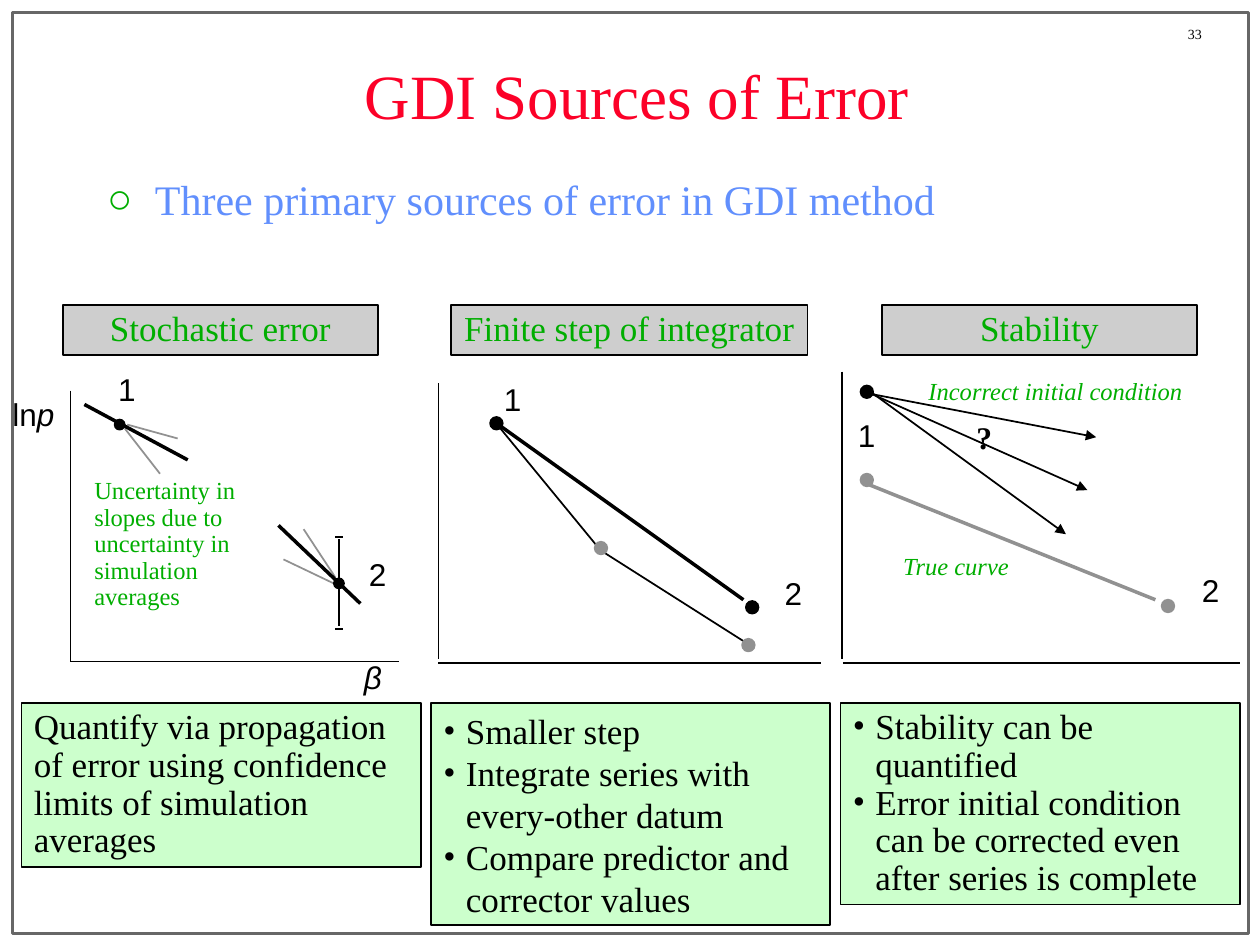
from typing import NamedTuple, Optional

from lxml.etree import SubElement
from pptx import Presentation
from pptx.dml.color import RGBColor
from pptx.enum.shapes import MSO_CONNECTOR, MSO_SHAPE
from pptx.enum.text import MSO_ANCHOR, MSO_AUTO_SIZE, PP_ALIGN
from pptx.oxml.ns import qn
from pptx.util import Inches, Pt

COLORS = {
    "black": "000000", "gray": "919191", "frame": "676767", "heading": "CECECE",
    "remedy": "CCFFCC", "white": "FFFFFF", "title": "FC0128", "body": "618FFD",
    "green": "00AE00",
}
SERIF, SANS = "Times New Roman", "Arial"
COLUMNS, ROWS = 100, 75  # square grid over the slide
WIDTH, HEIGHT = Inches(10), Inches(7.5)


class Box(NamedTuple):
    left: float
    top: float
    width: float
    height: float


class Line(NamedTuple):
    start: tuple[float, float]
    end: tuple[float, float]
    color: str = "black"
    weight: float = 1
    arrow: bool = False


class Dot(NamedTuple):
    left: float
    top: float
    size: float = 1
    color: str = "black"


class Label(NamedTuple):
    text: str
    box: Box
    size: float = 18
    font: str = SANS
    color: str = "black"
    bold: bool = False
    italic: bool = False
    wrap: bool = False


class Panel(NamedTuple):
    heading: str
    heading_box: Box
    remedy: list[str]
    remedy_box: Box
    bullet: Optional[str]
    spacing: float
    lines: list[Line]
    dots: list[Dot]
    labels: list[Label]


def note(text: str, box: Box, italic: bool = True, wrap: bool = False) -> Label:
    return Label(text, box, 14, SERIF, "green", italic=italic, wrap=wrap)


def number(text: str, left: float, top: float) -> Label:
    return Label(text, Box(left, top, 3.4, 3.7))


PANELS = [
    Panel(
        "Stochastic error", Box(5, 24.2, 25, 4),
        ["Quantify via propagation of error using confidence limits of simulation averages"],
        Box(1.7, 55.8, 31.7, 13), None, 0.9,
        [
            Line((5.6, 31), (5.6, 52.5)), Line((5.6, 52.5), (31.7, 52.5)),
            # Slopes at both states, with their uncertainty
            Line((9.9, 34), (12.7, 37.6), "gray"), Line((10.1, 33.7), (14.1, 34.8), "gray"),
            Line((6.7, 32.1), (14.9, 36.5), weight=2),
            Line((22.5, 44.4), (26.9, 46.5), "gray"), Line((24.1, 42), (26.6, 45.8), "gray"),
            Line((22.1, 41.7), (28.6, 47.9), weight=2),
            # Error bar
            Line((26.9, 42.8), (26.9, 49.7)),
            Line((27.2, 42.6), (26.6, 42.6)), Line((27.2, 49.9), (26.6, 49.9)),
        ],
        [Dot(26.5, 45.9, 0.8), Dot(9.1, 33.3, 0.8)],
        [
            number("1", 8.4, 29.2), number("2", 28.3, 43.9),
            Label("β", Box(27.9, 52.1, 3.4, 3.7), italic=True),
            note("Uncertainty in slopes due to uncertainty in simulation averages",
                 Box(6.5, 37.5, 15.8, 11.5), italic=False, wrap=True),
        ],
    ),
    Panel(
        "Finite step of integrator", Box(35.8, 24.2, 28.3, 4),
        ["Smaller step", "Integrate series with every-other datum",
         "Compare predictor and corrector values"],
        Box(34.2, 55.8, 31.7, 17.6), "•", 1,
        [
            Line((34.8, 30.4), (34.8, 52.3)), Line((34.8, 52.6), (65.2, 52.6)),
            Line((39.7, 33.8), (59, 47.6), weight=2),
            Line((39.3, 33.5), (47.6, 43.6)), Line((47.7, 43.7), (59.5, 51.2)),
        ],
        [Dot(59.2, 47.7), Dot(38.9, 33.1),
         Dot(47.2, 43, color="gray"), Dot(58.9, 50.7, color="gray")],
        [number("1", 39, 30), number("2", 61.3, 45.4)],
    ),
    Panel(
        "Stability", Box(70, 24.2, 25, 4),
        ["Stability can be quantified",
         "Error initial condition can be corrected even after series is complete"],
        Box(66.7, 55.8, 31.7, 16), "•", 0.9,
        [
            Line((66.8, 29.5), (66.8, 52.3)), Line((66.9, 52.6), (98.4, 52.6)),
            Line((68.8, 38.4), (91.7, 47.6), "gray", 2),
            Line((69.1, 31.1), (84.6, 42.4), arrow=True),
            Line((68.8, 31.1), (86.3, 38.9), arrow=True),
            Line((69.3, 31.3), (87, 34.7), arrow=True),
        ],
        [Dot(92.2, 47.6, color="gray"), Dot(68.3, 37.6, color="gray"), Dot(68.3, 30.6)],
        [
            number("1", 67.1, 32.9), number("2", 94.4, 45.2),
            note("True curve", Box(70.7, 43.5, 10.5, 3.1)),
            Label("?", Box(76.5, 33, 3.2, 3.7), font=SERIF, bold=True),
            note("Incorrect initial condition", Box(72.7, 29.6, 22.2, 3.1)),
        ],
    ),
]


def across(columns: float) -> int:
    return round(WIDTH * columns / COLUMNS)


def down(rows: float) -> int:
    return round(HEIGHT * rows / ROWS)


def place(box: Box) -> tuple[int, int, int, int]:
    return across(box.left), down(box.top), across(box.width), down(box.height)


def rgb(name: str) -> RGBColor:
    return RGBColor.from_string(COLORS[name])


def add_bullet(paragraph, character: str, color: str, indent: float) -> None:
    properties = paragraph._p.get_or_add_pPr()
    properties.set("marL", str(across(indent)))
    properties.set("indent", str(-across(indent)))
    bullet_color = SubElement(properties, qn("a:buClr"))
    SubElement(bullet_color, qn("a:srgbClr"), val=COLORS[color])
    SubElement(properties, qn("a:buFont"), typeface=SERIF)
    SubElement(properties, qn("a:buChar"), char=character)


def write(shape, paragraphs: list[str], *, size: float, font: str = SERIF,
          color: str = "black", bold: bool = False, italic: bool = False,
          align=PP_ALIGN.LEFT, spacing: float = 0.9, wrap: bool = True,
          anchor=MSO_ANCHOR.TOP, bullet: Optional[str] = None,
          bullet_color: str = "black", indent: float = 1.8) -> None:
    frame = shape.text_frame
    frame.auto_size = MSO_AUTO_SIZE.NONE
    frame.word_wrap = wrap
    frame.vertical_anchor = anchor
    for index, text in enumerate(paragraphs):
        paragraph = frame.add_paragraph() if index else frame.paragraphs[0]
        paragraph.alignment = align
        paragraph.line_spacing = spacing
        paragraph.space_before = Pt(0)
        if bullet:
            add_bullet(paragraph, bullet, bullet_color, indent)
        run = paragraph.add_run()
        run.text = text
        run.font.name, run.font.size = font, Pt(size)
        run.font.bold, run.font.italic = bold, italic
        run.font.color.rgb = rgb(color)


def add_shape(slide, kind, box: Box, fill: Optional[str], line: str, weight: float = 1):
    shape = slide.shapes.add_shape(kind, *place(box))
    shape.shadow.inherit = False
    if fill:
        shape.fill.solid()
        shape.fill.fore_color.rgb = rgb(fill)
    else:
        shape.fill.background()
    shape.line.color.rgb = rgb(line)
    shape.line.width = Pt(weight)
    return shape


def add_line(slide, line: Line) -> None:
    connector = slide.shapes.add_connector(
        MSO_CONNECTOR.STRAIGHT, across(line.start[0]), down(line.start[1]),
        across(line.end[0]), down(line.end[1]))
    connector.line.color.rgb = rgb(line.color)
    connector.line.width = Pt(line.weight)
    if line.arrow:
        SubElement(connector.line._get_or_add_ln(), qn("a:tailEnd"), type="triangle")
    SubElement(connector._element.spPr, qn("a:effectLst"))


def add_label(slide, label: Label):
    shape = slide.shapes.add_textbox(*place(label.box))
    write(shape, [label.text], size=label.size, font=label.font, color=label.color,
          bold=label.bold, italic=label.italic, wrap=label.wrap)
    return shape


def add_panel(slide, panel: Panel) -> None:
    heading = add_shape(slide, MSO_SHAPE.RECTANGLE, panel.heading_box, "heading", "black")
    write(heading, [panel.heading], size=20, color="green", align=PP_ALIGN.CENTER)
    remedy = add_shape(slide, MSO_SHAPE.RECTANGLE, panel.remedy_box, "remedy", "black")
    write(remedy, panel.remedy, size=20, spacing=panel.spacing, bullet=panel.bullet)
    for line in panel.lines:
        add_line(slide, line)
    for dot in panel.dots:
        add_shape(slide, MSO_SHAPE.OVAL, Box(dot.left, dot.top, dot.size, dot.size),
                  dot.color, dot.color)
    for label in panel.labels:
        add_label(slide, label)


def main() -> None:
    presentation = Presentation()
    presentation.slide_width, presentation.slide_height = WIDTH, HEIGHT
    slide = presentation.slides.add_slide(presentation.slide_layouts[1])

    # Frame and page number
    add_shape(slide, MSO_SHAPE.RECTANGLE, Box(1, 1, 98.1, 73.1), None, "frame", 2)
    add_label(slide, Label("33", Box(93.3, 1.7, 6.7, 2.3), 8, SERIF))

    # Title and lead point
    title, body = slide.shapes.title, slide.placeholders[1]
    title.left, title.top, title.width, title.height = place(Box(7.5, 2.5, 86.1, 9.9))
    write(title, ["GDI Sources of Error"], size=36, color="title", spacing=1,
          align=PP_ALIGN.CENTER, anchor=MSO_ANCHOR.MIDDLE)
    body.left, body.top, body.width, body.height = place(Box(7.5, 13.3, 87.5, 7.5))
    write(body, ["Three primary sources of error in GDI method"], size=24, color="body",
          spacing=1, bullet="○", bullet_color="green", indent=3.8)

    # Sources of error; the vertical axis label mixes upright and italic
    for panel in PANELS:
        add_panel(slide, panel)
    axis = add_label(slide, Label("ln", Box(0, 31.2, 5.3, 3.7)))
    variable = axis.text_frame.paragraphs[0].add_run()
    variable.text = "p"
    variable.font.name, variable.font.size, variable.font.italic = SANS, Pt(18), True
    variable.font.color.rgb = rgb("black")

    presentation.save("out.pptx")


if __name__ == "__main__":
    main()
